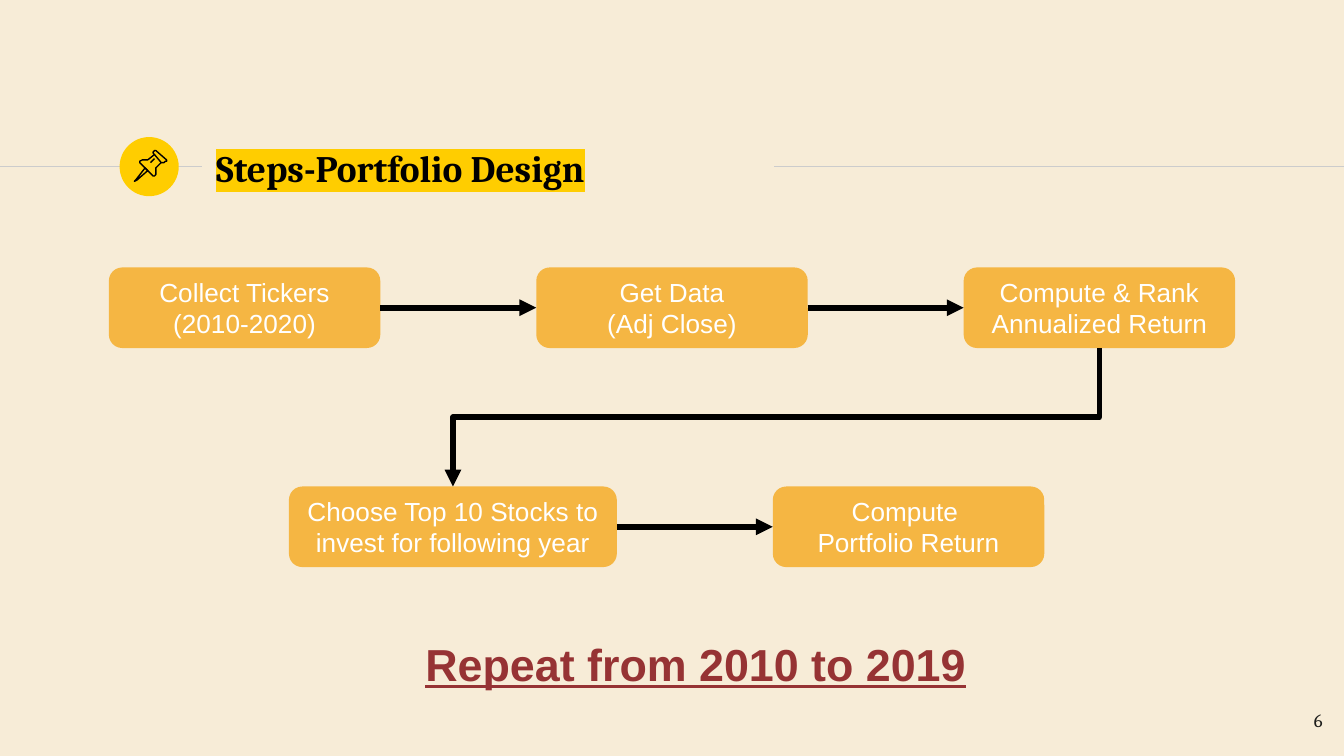
from lxml.etree import SubElement
from pptx import Presentation
from pptx.dml.color import RGBColor
from pptx.enum.shapes import MSO_CONNECTOR, MSO_SHAPE
from pptx.enum.text import MSO_ANCHOR, PP_ALIGN
from pptx.oxml.ns import qn
from pptx.util import Inches, Pt


def color(value):
    return RGBColor.from_string(value)


def add_line(kind, start, end, line_color, width):
    line = page.shapes.add_connector(kind, *[Inches(v) for v in (*start, *end)])
    line.line.color.rgb = color(line_color)
    line.line.width = Pt(width)
    SubElement(line._element.spPr, qn("a:effectLst"))
    return line


deck = Presentation()
deck.slide_width = Inches(10)
deck.slide_height = Inches(10 * 9 / 16)
page = deck.slides.add_slide(deck.slide_layouts[6])
page.background.fill.solid()
page.background.fill.fore_color.rgb = color("F7ECD7")

for left, right in [(0, 1.5), (5.76, 10)]:
    add_line(MSO_CONNECTOR.STRAIGHT, (left, 1.24), (right, 1.24), "CCCCCC", 0.75)

badge = page.shapes.add_shape(
    MSO_SHAPE.OVAL, Inches(0.89), Inches(1.02), Inches(0.44), Inches(0.44)
)
badge.shadow.inherit = False
badge.fill.solid()
badge.fill.fore_color.rgb = color("FFCD00")
badge.line.fill.background()

pin_outlines = [
    ([(108, 125), (101, 134), (100, 135), (102, 134), (110, 127)], True),
    ([(115, 115), (120, 121), (122, 121), (123, 120), (124, 120),
      (124, 119), (116, 112), (115, 112), (114, 113), (114, 114)], True),
    ([(115, 115), (110, 119), (106, 119), (104, 120), (104, 121),
      (114, 131), (115, 131), (116, 130), (116, 125), (120, 121)], False),
    ([(112, 121), (115, 118)], False),
]
for points, closed in pin_outlines:
    builder = page.shapes.build_freeform(*points[0], scale=Inches(0.01))
    builder.add_line_segments(points[1:], close=closed)
    outline = builder.convert_to_shape()
    outline.shadow.inherit = False
    outline.fill.background()
    outline.line.color.rgb = color("000000")
    outline.line.width = Pt(0.75)

texts = [
    ("Steps-Portfolio Design", (1.51, 1.01, 4.24, 0.48), 0.1, MSO_ANCHOR.MIDDLE,
     PP_ALIGN.LEFT, "Cambria", 20, "000000", True, False, "FFCD00"),
    ("6", (9.34, 5.19, 0.6, 0.43), 0.12, MSO_ANCHOR.TOP,
     PP_ALIGN.RIGHT, "Cambria", 10, "1D1D1B", False, False, None),
    ("Repeat from 2010 to 2019", (3.05, 4.69, 4.25, 0.5), 0.05, MSO_ANCHOR.TOP,
     PP_ALIGN.CENTER, "Arial", 24, "963334", True, True, None),
]
for text, place, inset, anchor, align, font, size, ink, bold, underline, marker in texts:
    box = page.shapes.add_textbox(*[Inches(v) for v in place])
    frame = box.text_frame
    frame.word_wrap = True
    frame.vertical_anchor = anchor
    frame.margin_top = frame.margin_bottom = Inches(inset)
    para = frame.paragraphs[0]
    para.alignment = align
    span = para.add_run()
    span.text = text
    span.font.name = font
    span.font.size = Pt(size)
    span.font.color.rgb = color(ink)
    span.font.bold = bold
    span.font.underline = underline
    if marker:
        properties = span.font._element
        highlight = SubElement(properties, qn("a:highlight"))
        SubElement(highlight, qn("a:srgbClr"), val=marker)
        properties.find(qn("a:latin")).addprevious(highlight)

steps = []
for left, top, width, text in [
    (0.81, 1.99, 2.02, "Collect Tickers\n(2010-2020)"),
    (3.99, 1.99, 2.02, "Get Data\n(Adj Close)"),
    (7.17, 1.99, 2.02, "Compute & Rank Annualized Return"),
    (2.15, 3.62, 2.44, "Choose Top 10 Stocks to invest for following year"),
    (5.75, 3.62, 2.02, "Compute \nPortfolio Return"),
]:
    step = page.shapes.add_shape(
        MSO_SHAPE.ROUNDED_RECTANGLE, Inches(left), Inches(top), Inches(width), Inches(0.6)
    )
    step.shadow.inherit = False
    step.fill.solid()
    step.fill.fore_color.rgb = color("F5B643")
    step.line.fill.background()
    step.text_frame.word_wrap = True
    step.text_frame.vertical_anchor = MSO_ANCHOR.MIDDLE
    step.text_frame.text = text
    for para in step.text_frame.paragraphs:
        para.alignment = PP_ALIGN.CENTER
        para.font.name = "Arial"
        para.font.size = Pt(14)
        para.font.color.rgb = color("FFFFFF")
    steps.append(step)

for index, (source, target) in enumerate(zip(steps, steps[1:])):
    turns = index == 2
    kind = MSO_CONNECTOR.ELBOW if turns else MSO_CONNECTOR.STRAIGHT
    arrow = add_line(kind, (0, 0), (0, 0), "000000", 3)
    arrow.begin_connect(source, 2 if turns else 3)
    arrow.end_connect(target, 0 if turns else 1)
    SubElement(arrow.line._get_or_add_ln(), qn("a:tailEnd"), type="triangle")
    if turns:
        arrow.left, arrow.top = Inches(5.26), Inches(0.7)
        arrow.width, arrow.height = Inches(1.03), Inches(4.81)
        transform = arrow._element.spPr.find(qn("a:xfrm"))
        transform.set("rot", "5400000")
        transform.set("flipH", "0")
        transform.set("flipV", "0")

deck.save("out.pptx")
